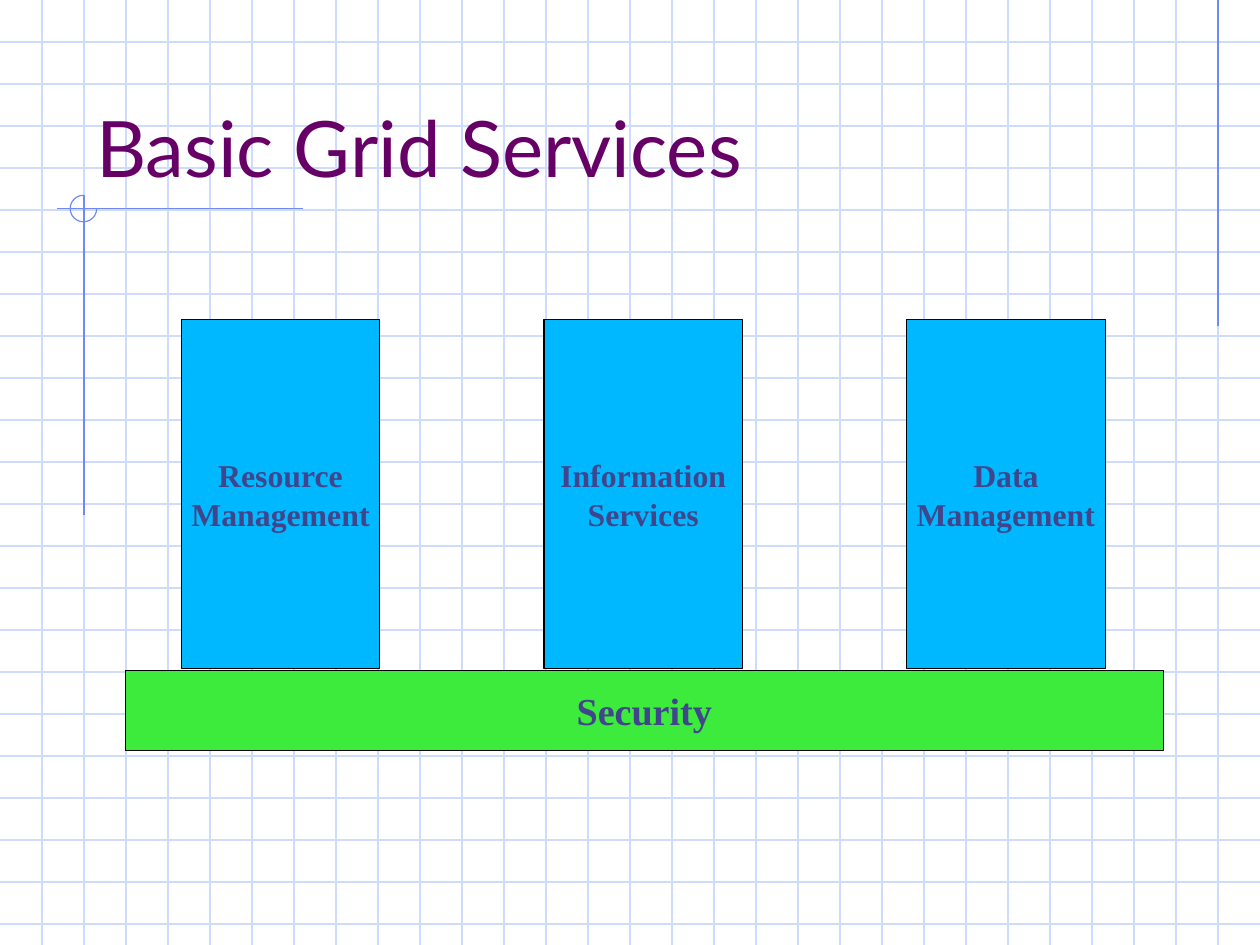
from lxml.etree import SubElement
from pptx import Presentation
from pptx.dml.color import RGBColor
from pptx.enum.shapes import MSO_CONNECTOR, MSO_SHAPE
from pptx.enum.text import MSO_ANCHOR, MSO_AUTO_SIZE, PP_ALIGN
from pptx.oxml.ns import qn
from pptx.util import Cm, Pt

GRID = RGBColor(0xCF, 0xDB, 0xFD)
ACCENT = RGBColor(0x6F, 0x89, 0xF7)
PURPLE = RGBColor(0x66, 0x00, 0x66)
NAVY = RGBColor(0x40, 0x45, 0x8C)
BLUE = RGBColor(0x00, 0xB8, 0xFF)
GREEN = RGBColor(0x3D, 0xEB, 0x3D)
BLACK = RGBColor(0x00, 0x00, 0x00)

WIDTH, HEIGHT = 28, 21
COLUMNS = 30
STEP = WIDTH / COLUMNS


def add_line(slide, x1, y1, x2, y2, color):
    line = slide.shapes.add_connector(
        MSO_CONNECTOR.STRAIGHT, Cm(x1), Cm(y1), Cm(x2), Cm(y2))
    line.line.color.rgb = color
    line.line.width = Pt(0.75)
    SubElement(line.element.spPr, qn("a:effectLst"))


def add_grid(slide):
    for row in range(1, int(HEIGHT / STEP) + 1):
        add_line(slide, 0, row * STEP, WIDTH, row * STEP, GRID)
    for col in range(1, COLUMNS):
        add_line(slide, col * STEP, 0, col * STEP, HEIGHT, GRID)


def add_accents(slide):
    add_line(slide, 29 * STEP, 0, 29 * STEP, 7.24, ACCENT)
    add_line(slide, 6.73, 4.63, 1.27, 4.63, ACCENT)
    add_line(slide, 2 * STEP, 4.34, 2 * STEP, 11.45, ACCENT)
    arc = slide.shapes.add_shape(
        MSO_SHAPE.ARC, Cm(1.56), Cm(4.34), Cm(0.59), Cm(0.59))
    arc.adjustments[0] = 0
    arc.adjustments[1] = 162
    arc.shadow.inherit = False
    arc.fill.background()
    arc.line.color.rgb = ACCENT
    arc.line.width = Pt(0.75)


def set_margins(frame, side, edge):
    frame.margin_left = frame.margin_right = Cm(side)
    frame.margin_top = frame.margin_bottom = Cm(edge)


def style_text(frame, font, size, color, bold, align):
    for para in frame.paragraphs:
        para.alignment = align
        for run in para.runs:
            run.font.name = font
            run.font.size = Pt(size)
            run.font.bold = bold
            run.font.color.rgb = color


def set_title(slide, text):
    title = slide.shapes.title
    title.left, title.top = Cm(1.86), Cm(0.93)
    title.width, title.height = Cm(23.8), Cm(3.5)
    frame = title.text_frame
    frame.text = text
    frame.auto_size = MSO_AUTO_SIZE.NONE
    frame.vertical_anchor = MSO_ANCHOR.BOTTOM
    set_margins(frame, 0.28, 0.14)
    style_text(frame, "Lato", 49, PURPLE, False, PP_ALIGN.LEFT)
    title.element.getparent().append(title.element)


def add_box(slide, text, left, top, width, height, fill, size):
    box = slide.shapes.add_shape(
        MSO_SHAPE.RECTANGLE, Cm(left), Cm(top), Cm(width), Cm(height))
    box.shadow.inherit = False
    box.fill.solid()
    box.fill.fore_color.rgb = fill
    box.line.color.rgb = BLACK
    box.line.width = Pt(0.75)
    frame = box.text_frame
    frame.text = text
    frame.vertical_anchor = MSO_ANCHOR.MIDDLE
    set_margins(frame, 0, 0)
    style_text(frame, "Times New Roman", size, NAVY, True, PP_ALIGN.CENTER)


def main():
    deck = Presentation()
    deck.slide_width, deck.slide_height = Cm(WIDTH), Cm(HEIGHT)
    slide = deck.slides.add_slide(deck.slide_layouts[5])
    add_grid(slide)
    add_accents(slide)
    set_title(slide, "Basic Grid Services")
    pillars = ("Resource\nManagement", "Information\nServices",
               "Data\nManagement")
    for i, text in enumerate(pillars):
        add_box(slide, text, 4.03 + i * 8.06, 7.11, 4.41, 7.75, BLUE, 20)
    add_box(slide, "Security", 2.79, 14.91, 23.06, 1.77, GREEN, 24)
    deck.save("out.pptx")


if __name__ == "__main__":
    main()
